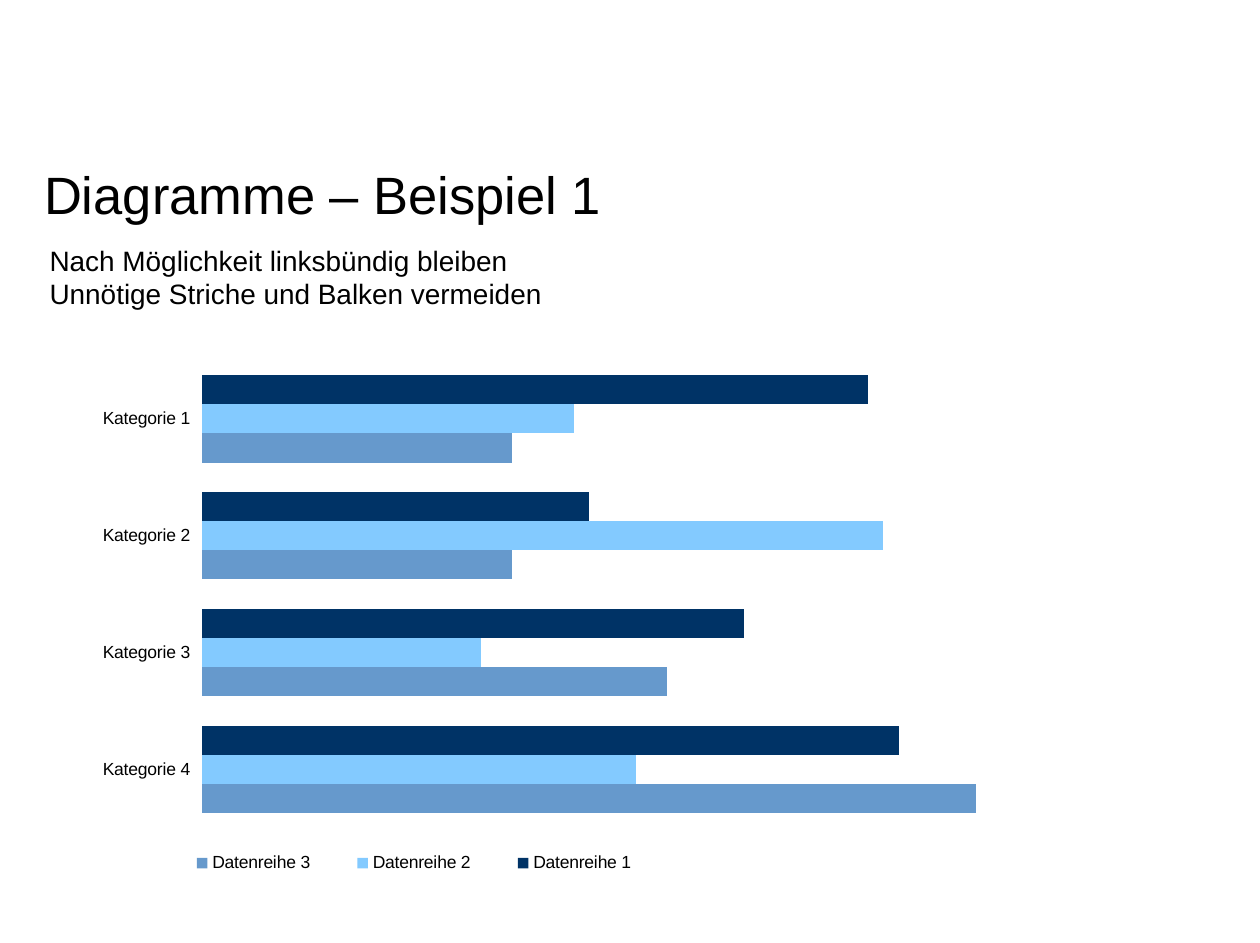
import pptx
import pptx.chart.data
import pptx.dml.color
import pptx.enum.chart
import pptx.enum.text
import pptx.util
from pptx.oxml import parse_xml
from pptx.oxml.ns import nsdecls

Cm = pptx.util.Cm
Pt = pptx.util.Pt

CATEGORIES = [f"Kategorie {number}" for number in range(1, 5)]
SERIES = [
    ("Datenreihe 1", (86, 50, 70, 90), "003366"),
    ("Datenreihe 2", (48, 88, 36, 56), "83CAFF"),
    ("Datenreihe 3", (40, 40, 60, 100), "6699CC"),
]


def color(hex_string):
    return pptx.dml.color.RGBColor.from_string(hex_string)


def manual_layout(x, y, width, height, inner=False):
    """Return a c:layout element with fractions of the chart area."""
    target = '<c:layoutTarget val="inner"/>' if inner else ""
    return parse_xml(
        f'<c:layout {nsdecls("c")}><c:manualLayout>{target}'
        '<c:xMode val="edge"/><c:yMode val="edge"/>'
        f'<c:x val="{x}"/><c:y val="{y}"/><c:w val="{width}"/><c:h val="{height}"/>'
        '</c:manualLayout></c:layout>'
    )


class SlideBuilder:
    font_name = "Arial"
    text_color = "000000"

    def __init__(self, slide):
        self.slide = slide

    def style_font(self, font, size):
        font.name = self.font_name
        font.size = Pt(size)
        font.color.rgb = color(self.text_color)

    def text(self, lines, left, top, width, height, size,
             anchor=pptx.enum.text.MSO_ANCHOR.TOP):
        shape = self.slide.shapes.add_textbox(Cm(left), Cm(top), Cm(width), Cm(height))
        frame = shape.text_frame
        frame.word_wrap = True
        frame.vertical_anchor = anchor
        frame.margin_left = frame.margin_right = 0
        frame.margin_top = frame.margin_bottom = 0
        frame.text = "\n".join(lines)
        for paragraph in frame.paragraphs:
            self.style_font(paragraph.font, size)

    def bar_chart(self, categories, series_rows, left, top, width, height, size):
        chart_data = pptx.chart.data.CategoryChartData()
        chart_data.categories = categories
        for name, values, _ in series_rows:
            chart_data.add_series(name, values)
        chart = self.slide.shapes.add_chart(
            pptx.enum.chart.XL_CHART_TYPE.BAR_CLUSTERED,
            Cm(left), Cm(top), Cm(width), Cm(height), chart_data).chart
        chart.has_title = False
        self.style_font(chart.font, size)

        plot = chart.plots[0]
        plot.gap_width = 100
        plot.overlap = 0
        plot.vary_by_categories = False
        for series, (_, _, fill) in zip(plot.series, series_rows):
            series.format.fill.solid()
            series.format.fill.fore_color.rgb = color(fill)
            series.format.line.fill.background()

        category_axis = chart.category_axis
        category_axis.reverse_order = True
        category_axis.has_major_gridlines = False
        category_axis.major_tick_mark = pptx.enum.chart.XL_TICK_MARK.OUTSIDE
        category_axis.format.line.fill.background()
        self.style_font(category_axis.tick_labels.font, size)

        value_axis = chart.value_axis
        value_axis.minimum_scale = 0
        value_axis.maximum_scale = 120
        value_axis.has_major_gridlines = False
        value_axis.visible = False

        chart.has_legend = True
        legend = chart.legend
        legend.position = pptx.enum.chart.XL_LEGEND_POSITION.RIGHT
        legend.include_in_layout = False
        self.style_font(legend.font, size)
        return chart

    def place_chart_parts(self, chart, plot_layout, legend_layout):
        """Fix the plot area and the legend inside the chart."""
        plot_area = chart.plots[0]._element.getparent()
        for layout in plot_area.findall(pptx.oxml.ns.qn("c:layout")):
            plot_area.remove(layout)
        plot_area.insert(0, manual_layout(*plot_layout, inner=True))

        legend = chart.legend._element
        for layout in legend.findall(pptx.oxml.ns.qn("c:layout")):
            legend.remove(layout)
        legend.insert(1, manual_layout(*legend_layout))


def main():
    presentation = pptx.Presentation()
    presentation.slide_width = Cm(25.4)
    presentation.slide_height = Cm(19)
    builder = SlideBuilder(presentation.slides.add_slide(presentation.slide_layouts[6]))

    builder.text(["Diagramme – Beispiel 1"], 0.89, 3.3, 23.7, 1.2, 30,
                 pptx.enum.text.MSO_ANCHOR.MIDDLE)
    builder.text(["Nach Möglichkeit linksbündig bleiben",
                  "Unnötige Striche und Balken vermeiden"], 1, 4.9, 23.7, 2.1, 16)
    chart = builder.bar_chart(CATEGORIES, SERIES, 1, 6.2, 23.7, 11.78, 10)
    builder.place_chart_parts(chart, (0.13, 0.09, 0.79, 0.8), (0.09, 0.92, 0.44, 0.06))

    presentation.save("out.pptx")


if __name__ == "__main__":
    main()
